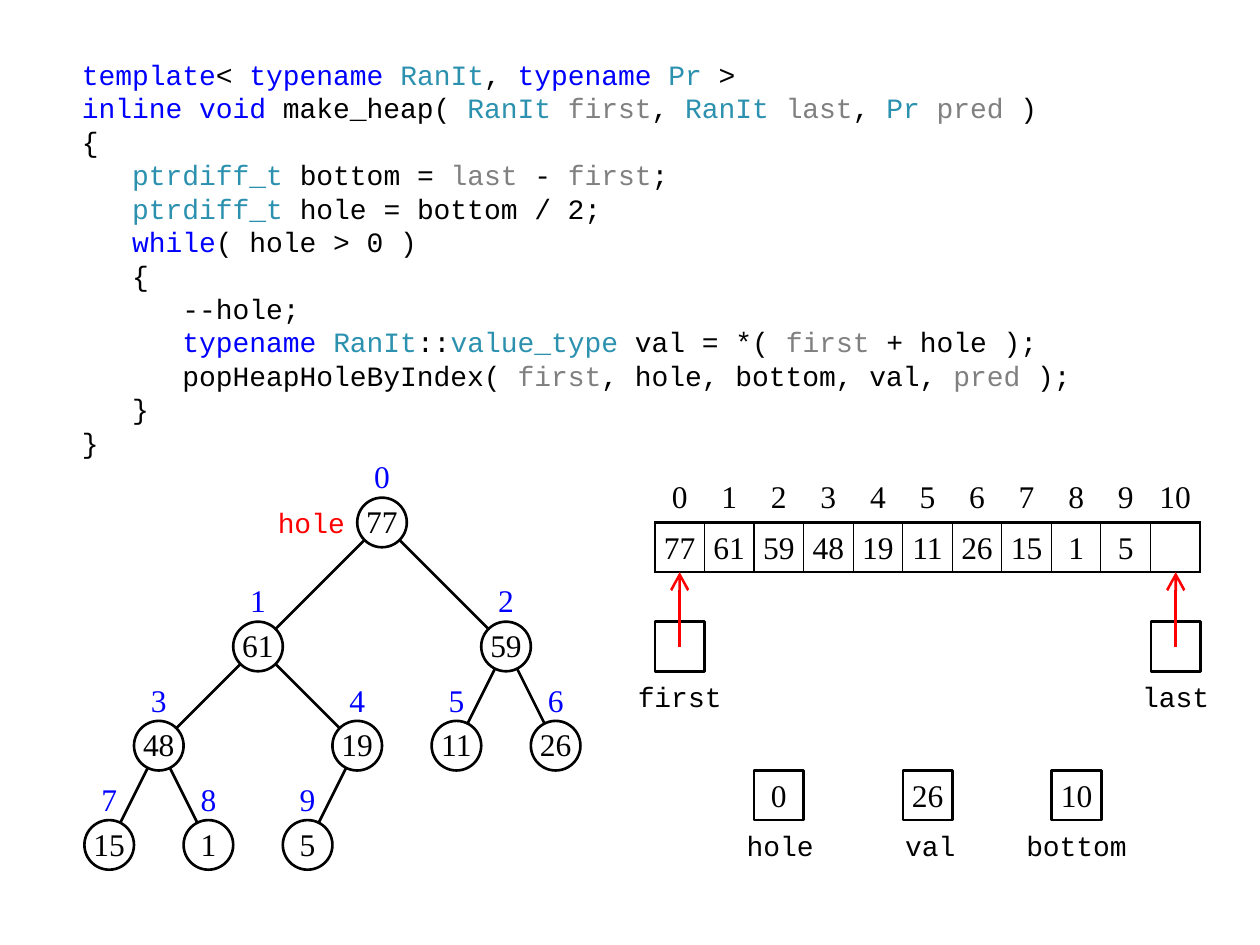
"""Build a slide that explains make_heap with code, a heap tree and its array."""
from lxml.etree import SubElement
from pptx import Presentation
from pptx.dml.color import RGBColor
from pptx.enum.shapes import MSO_CONNECTOR, MSO_SHAPE
from pptx.enum.text import MSO_ANCHOR, PP_ALIGN
from pptx.oxml import parse_xml
from pptx.oxml.ns import nsdecls, qn
from pptx.util import Inches, Pt

BLACK = RGBColor(0, 0, 0)
WHITE = RGBColor(255, 255, 255)
BLUE = RGBColor(0, 0, 255)
TEAL = RGBColor(0x2B, 0x91, 0xAF)
GRAY = RGBColor(0x80, 0x80, 0x80)
RED = RGBColor(255, 0, 0)
SERIF = {"name": "Times New Roman", "size": Pt(18)}
MONO = {"name": "Courier New", "size": Pt(16)}

CELL = 1 / 2.54
LEFT, TOP = 0.67, 3.95

WORD_COLORS = {
    **dict.fromkeys(["template", "typename", "inline void", "while"], BLUE),
    **dict.fromkeys(["RanIt", "Pr", "ptrdiff_t", "value_type"], TEAL),
    **dict.fromkeys(["first", "last", "pred"], GRAY),
}
CODE = """template|< |typename |RanIt|, |typename |Pr| >
inline void |make_heap( |RanIt |first|, |RanIt |last|, |Pr |pred| )
{
   |ptrdiff_t |bottom = |last| - |first|;
   |ptrdiff_t |hole = bottom / 2;
   |while|( hole > 0 )
   {
      --hole;
      |typename |RanIt|::|value_type |val = *( |first| + hole );
      popHeapHoleByIndex( |first|, hole, bottom, val, |pred| );
   }
}"""
HEAP = [77, 61, 59, 48, 19, 11, 26, 15, 1, 5]
NODES = [(5.5, 0), (3, 2.5), (8, 2.5), (1, 4.5), (5, 4.5), (7, 4.5), (9, 4.5),
         (0, 6.5), (2, 6.5), (4, 6.5)]

deck = Presentation()
deck.slide_width, deck.slide_height = Inches(10), Inches(7.5)
page = deck.slides.add_slide(deck.slide_layouts[6])


def put_box(column, row, text="", font=SERIF, color=BLACK, width=1, kind=None,
            anchor=MSO_ANCHOR.MIDDLE, align=PP_ALIGN.CENTER, **margins):
    place = [Inches(LEFT + column * CELL), Inches(TOP + row * CELL),
             Inches(width * CELL), Inches(CELL)]
    if kind is None:
        box = page.shapes.add_textbox(*place)
    else:
        box = page.shapes.add_shape(kind, *place)
        box.shadow.inherit = False
        box.fill.solid()
        box.fill.fore_color.rgb = WHITE
        box.line.color.rgb = BLACK
        box.line.width = Pt(1.5)
    frame = box.text_frame
    frame.word_wrap = False
    frame.vertical_anchor = anchor
    for side in ("left", "top", "right", "bottom"):
        setattr(frame, f"margin_{side}", Inches(margins.get(side, 0)))
    para = frame.paragraphs[0]
    para.alignment = align
    if text:
        span = para.add_run()
        span.text = text
        span.font.color.rgb = color
        for key, value in font.items():
            setattr(span.font, key, value)


def put_line(start, end, color=BLACK):
    (x1, y1), (x2, y2) = start, end
    line = page.shapes.add_connector(
        MSO_CONNECTOR.STRAIGHT,
        Inches(LEFT + (x1 + 0.5) * CELL), Inches(TOP + (y1 + 0.5) * CELL),
        Inches(LEFT + (x2 + 0.5) * CELL), Inches(TOP + (y2 + 0.5) * CELL))
    line.line.color.rgb = color
    line.line.width = Pt(1.5)
    SubElement(line._element.spPr, qn("a:effectLst"))
    return line


code_box = page.shapes.add_textbox(Inches(0.47), Inches(0.4), Inches(8.27), Inches(3.35))
code_frame = code_box.text_frame
code_frame.word_wrap = True
code_frame.vertical_anchor = MSO_ANCHOR.MIDDLE
code_frame.margin_left = Inches(0.18)
code_frame.margin_bottom = Inches(0.1)
for index, code_line in enumerate(CODE.splitlines()):
    para = code_frame.paragraphs[0] if index == 0 else code_frame.add_paragraph()
    para.line_spacing = Pt(19.1)
    for piece in code_line.split("|"):
        span = para.add_run()
        span.text = piece
        span.font.color.rgb = WORD_COLORS.get(piece.strip(), BLACK)
        for key, value in MONO.items():
            setattr(span.font, key, value)

for index in range(1, len(NODES)):
    put_line(NODES[(index - 1) // 2], NODES[index])
for index, (value, (column, row)) in enumerate(zip(HEAP, NODES)):
    put_box(column, row, str(value), kind=MSO_SHAPE.OVAL, anchor=MSO_ANCHOR.BOTTOM)
    put_box(column, row - 1, str(index), color=BLUE, anchor=MSO_ANCHOR.BOTTOM, bottom=0.02)
put_box(3.5, 0, "hole", MONO, RED, width=2, align=PP_ALIGN.RIGHT, left=0.1, right=0.1)

columns = len(HEAP) + 1
table = page.shapes.add_table(
    2, columns, Inches(LEFT + 11.5 * CELL), Inches(TOP - 0.5 * CELL),
    Inches(columns * CELL), Inches(2 * CELL)).table
table.first_row = table.horz_banding = False
for row, values in enumerate([range(columns), HEAP + [""]]):
    table.rows[row].height = Inches(CELL)
    for column, value in enumerate(values):
        table.columns[column].width = Inches(CELL)
        cell = table.cell(row, column)
        cell.vertical_anchor = MSO_ANCHOR.MIDDLE
        cell.margin_left = cell.margin_right = cell.margin_bottom = 0
        cell.margin_top = Inches(0.02 * row)
        para = cell.text_frame.paragraphs[0]
        para.alignment = PP_ALIGN.CENTER
        para.font.size = SERIF["size"]
        if value != "":
            span = para.add_run()
            span.text = str(value)
            span.font.color.rgb = BLACK
            for key, setting in SERIF.items():
                setattr(span.font, key, setting)
        borders = {"B": 1.5}
        if row == 1:
            borders = {"L": 1.5 if column == 0 else 0.75,
                       "R": 1.5 if column == columns - 1 else 0.75, "T": 1.5, "B": 1.5}
        for side, width in borders.items():
            cell._tc.get_or_add_tcPr().append(parse_xml(
                f'<a:ln{side} {nsdecls("a")} w="{Pt(width)}"><a:solidFill>'
                f'<a:srgbClr val="{BLACK}"/></a:solidFill></a:ln{side}>'))
        cell.fill.background()

for name, column in [("first", 11.5), ("last", 21.5)]:
    put_box(column - 0.5, 3.5, name, MONO, width=2)
    put_box(column, 2.5, kind=MSO_SHAPE.RECTANGLE)
    arrow = put_line((column, 2.5), (column, 1), RED)
    SubElement(arrow.line._get_or_add_ln(), qn("a:tailEnd"), type="arrow", w="lg", len="lg")

for name, value, column, width, indent in [
        ("hole", 0, 13.5, 2, 0.02), ("val", 26, 16.5, 2, 0.04), ("bottom", 10, 19.5, 3, 0)]:
    put_box(column + (1 - width) / 2, 6.5, name, MONO, width=width, left=indent)
    put_box(column, 5.5, str(value), kind=MSO_SHAPE.RECTANGLE, top=0.05, bottom=0.05)

deck.save("out.pptx")
